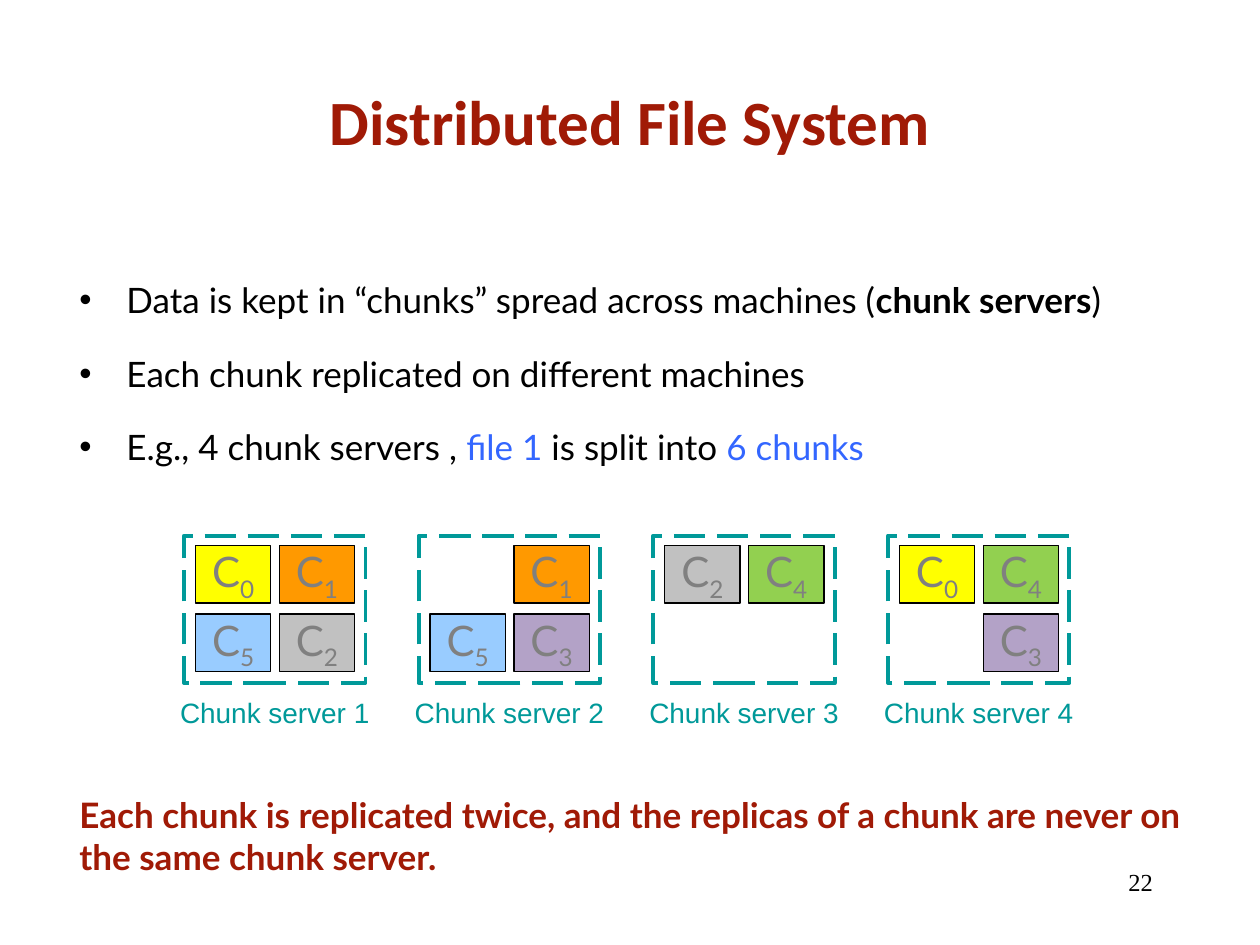
from pptx import Presentation
from pptx.dml.color import RGBColor
from pptx.enum import dml, shapes, text
from pptx.oxml import parse_xml
from pptx.oxml.ns import nsdecls
from pptx.util import Cm, Pt

RED, TEAL, BLUE, BLACK, GREY = "A01A06", "009999", "3366FF", "000000", "808080"
TITLE = "Distributed File System"
BULLETS = [
    [("Data is kept in “chunks” spread across machines (", {}),
     ("chunk servers", {"bold": True}), (")", {})],
    [("Each chunk replicated on different machines", {})],
    [("E.g., 4 chunk servers , ", {}), ("file 1", {"color": BLUE}),
     (" is split into ", {}), ("6 chunks", {"color": BLUE})],
]
CONCLUSION = ("Each chunk is replicated twice, and the replicas of a chunk "
              "are never on the same chunk server.")
PAGE = "22"
CHUNK_FILLS = {0: "FFFF00", 1: "FF9900", 2: "C1C1C1",
               3: "B3A2C7", 4: "92D050", 5: "99CCFF"}
SERVERS = [
    [[0, 1], [5, 2]],
    [[None, 1], [5, 3]],
    [[2, 4], [None, None]],
    [[0, 4], [None, 3]],
]

SERVER_LEFT, SERVER_TOP, SERVER_PITCH = 3.71, 10.8, 4.73
SERVER_W, SERVER_H = 3.66, 2.97
CHUNK_W, CHUNK_H = 1.52, 1.16
CHUNK_X, CHUNK_Y, CHUNK_DX, CHUNK_DY = 0.23, 0.2, 1.69, 1.38
LABEL_W, LABEL_H = 4.34, 0.94


def rgb(value):
    return RGBColor.from_string(value)


def add_run(p, content, font="Lato", size=20, color=BLACK, bold=False, base=None):
    r = p.add_run()
    r.text = content
    r.font.name, r.font.size, r.font.bold = font, Pt(size), bold
    r.font.color.rgb = rgb(color)
    if base:
        r.font._element.set("baseline", str(base * 1000))
    return r


def add_box(s, x, y, w, h, align=text.PP_ALIGN.LEFT, anchor=text.MSO_ANCHOR.TOP):
    tf = s.shapes.add_textbox(Cm(x), Cm(y), Cm(w), Cm(h)).text_frame
    tf.word_wrap = True
    tf.vertical_anchor = anchor
    tf.paragraphs[0].alignment = align
    return tf


def add_rect(s, x, y, w, h, line, width, fill=None):
    sp = s.shapes.add_shape(shapes.MSO_SHAPE.RECTANGLE, Cm(x), Cm(y), Cm(w), Cm(h))
    sp.shadow.inherit = False
    if fill:
        sp.fill.solid()
        sp.fill.fore_color.rgb = rgb(fill)
    else:
        sp.fill.background()
    sp.line.color.rgb = rgb(line)
    sp.line.width = Pt(width)
    return sp


def add_bullets(s):
    tf = add_box(s, 1.35, 5.49, 23.55, 4.6)
    for i, runs in enumerate(BULLETS):
        p = tf.add_paragraph() if i else tf.paragraphs[0]
        p.space_after = Pt(18)
        pPr = p._p.get_or_add_pPr()
        pPr.set("marL", str(Cm(0.95)))
        pPr.set("indent", str(Cm(-0.95)))
        for tag in ('buFont {} typeface="Arial"', 'buChar {} char="•"'):
            pPr.append(parse_xml(f"<a:{tag.format(nsdecls('a'))}/>"))
        for content, style in runs:
            add_run(p, content, **style)


def add_chunk(s, x, y, number):
    sp = add_rect(s, x, y, CHUNK_W, CHUNK_H, BLACK, 0.75, CHUNK_FILLS[number])
    tf = sp.text_frame
    tf.margin_left = tf.margin_right = tf.margin_top = tf.margin_bottom = 0
    tf.vertical_anchor = text.MSO_ANCHOR.TOP
    p = tf.paragraphs[0]
    p.alignment = text.PP_ALIGN.CENTER
    add_run(p, "C", size=24, color=GREY)
    add_run(p, str(number), size=24, color=GREY, base=-25)


def add_server(s, index, rows):
    x = SERVER_LEFT + index * SERVER_PITCH
    frame = add_rect(s, x, SERVER_TOP, SERVER_W, SERVER_H, TEAL, 2.25)
    frame.line.dash_style = dml.MSO_LINE.LONG_DASH
    tf = add_box(s, x + (SERVER_W - LABEL_W) / 2, 13.89, LABEL_W, LABEL_H,
                 text.PP_ALIGN.CENTER)
    tf.word_wrap = False
    add_run(tf.paragraphs[0], f"Chunk server {index + 1}", font="Arial",
            size=16, color=TEAL)
    for i, row in enumerate(rows):
        for j, number in enumerate(row):
            if number is not None:
                add_chunk(s, x + CHUNK_X + j * CHUNK_DX,
                          SERVER_TOP + CHUNK_Y + i * CHUNK_DY, number)


def main():
    prs = Presentation()
    prs.slide_width, prs.slide_height = Cm(25.4), Cm(19.05)
    s = prs.slides.add_slide(prs.slide_layouts[6])

    tf = add_box(s, 1.9, 0.84, 21.6, 3.18, text.PP_ALIGN.CENTER,
                 text.MSO_ANCHOR.MIDDLE)
    add_run(tf.paragraphs[0], TITLE, font="Calibri", size=36, color=RED, bold=True)
    add_bullets(s)
    for index, rows in enumerate(SERVERS):
        add_server(s, index, rows)
    tf = add_box(s, 1.35, 15.87, 23.55, 2)
    add_run(tf.paragraphs[0], CONCLUSION, color=RED, bold=True)
    tf = add_box(s, 18.21, 17.35, 5.28, 1.27, text.PP_ALIGN.RIGHT)
    add_run(tf.paragraphs[0], PAGE, font="Times New Roman", size=14)

    prs.save("out.pptx")


if __name__ == "__main__":
    main()
